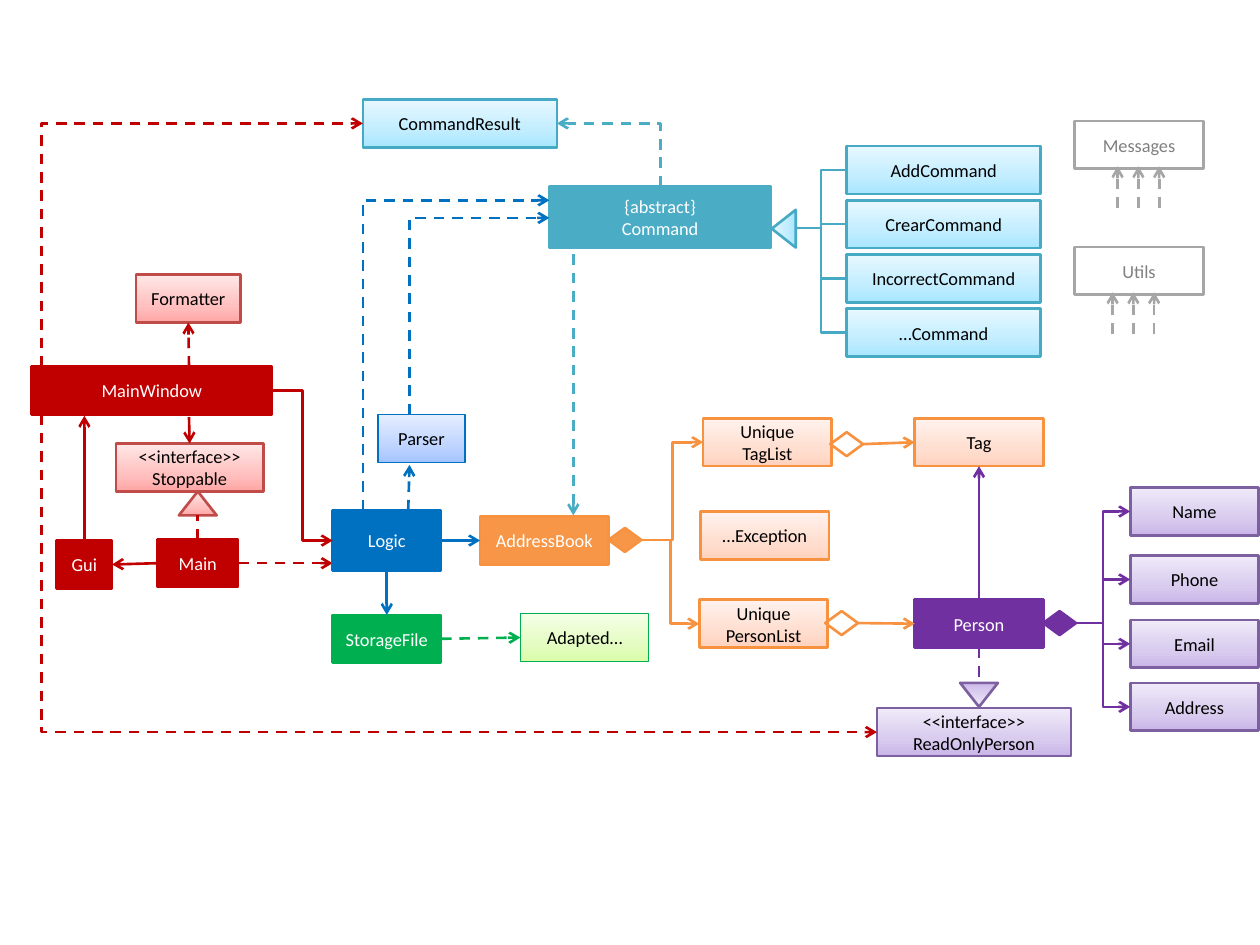
from copy import deepcopy

from lxml.etree import SubElement
from pptx import Presentation
from pptx.dml.color import RGBColor
from pptx.enum.dml import MSO_LINE
from pptx.enum.shapes import MSO_CONNECTOR, MSO_SHAPE
from pptx.enum.text import MSO_ANCHOR, PP_ALIGN
from pptx.oxml.ns import qn
from pptx.util import Inches, Pt

BLACK = RGBColor(0x00, 0x00, 0x00)
WHITE = RGBColor(0xFF, 0xFF, 0xFF)
GRAY = RGBColor(0xA6, 0xA6, 0xA6)
GRAY_TEXT = RGBColor(0x80, 0x80, 0x80)
RED = RGBColor(0xC0, 0x00, 0x00)
RED_EDGE = RGBColor(0xBF, 0x4C, 0x48)
BLUE = RGBColor(0x00, 0x70, 0xC0)
GREEN = RGBColor(0x00, 0xB0, 0x50)
ORANGE = RGBColor(0xF7, 0x96, 0x46)
ORANGE_EDGE = RGBColor(0xF6, 0x92, 0x40)
PURPLE = RGBColor(0x70, 0x30, 0xA0)
PURPLE_EDGE = RGBColor(0x7D, 0x60, 0xA0)
TEAL = RGBColor(0x4B, 0xAC, 0xC6)
TEAL_EDGE = RGBColor(0x46, 0xAA, 0xC5)

PALE_RED = (RGBColor(0xFF, 0xA6, 0xA5), RGBColor(0xFF, 0xC0, 0xBF), RGBColor(0xFF, 0xE7, 0xE7))
PALE_BLUE = (RGBColor(0xA4, 0xC4, 0xFF), RGBColor(0xBF, 0xD4, 0xFF), RGBColor(0xE6, 0xEE, 0xFF))
PALE_GREEN = (RGBColor(0xDA, 0xFD, 0xA7), RGBColor(0xE4, 0xFC, 0xC2), RGBColor(0xF5, 0xFF, 0xE7))
PALE_ORANGE = (RGBColor(0xFF, 0xD2, 0xBD), RGBColor(0xFF, 0xDE, 0xD0), RGBColor(0xFF, 0xF2, 0xED))
PALE_PURPLE = (RGBColor(0xC9, 0xB5, 0xE8), RGBColor(0xD8, 0xCB, 0xEE), RGBColor(0xF0, 0xEA, 0xF9))
PALE_TEAL = (RGBColor(0xA7, 0xE6, 0xFF), RGBColor(0xC1, 0xED, 0xFF), RGBColor(0xE7, 0xF8, 0xFF))

TOP, LEFT, BOTTOM, RIGHT = range(4)
BOX_WIDTH, BOX_HEIGHT = 1.02, 0.38
WIDE_BOX = 1.54


def write_text(shape, text, color=BLACK, size=10.5, font="Calibri"):
    frame = shape.text_frame
    frame.word_wrap = True
    frame.vertical_anchor = MSO_ANCHOR.MIDDLE
    frame.margin_left = frame.margin_right = frame.margin_top = frame.margin_bottom = 0
    frame.text = text
    for paragraph in frame.paragraphs:
        paragraph.alignment = PP_ALIGN.CENTER
        for run in paragraph.runs:
            run.font.name = font
            run.font.size = Pt(size)
            run.font.color.rgb = color


def paint(shape, fill):
    if fill is None:
        shape.fill.background()
    elif isinstance(fill, RGBColor):
        shape.fill.solid()
        shape.fill.fore_color.rgb = fill
    else:
        shape.fill.gradient()
        shape.fill.gradient_angle = 90
        stop_list = shape._element.spPr.find(".//" + qn("a:gsLst"))
        stop_list.insert(1, deepcopy(stop_list[0]))
        for stop, position, color in zip(shape.fill.gradient_stops, (0, 0.35, 1), fill):
            stop.position = position
            stop.color.rgb = color


def add_figure(slide, kind, left, top, width, height, fill, edge, line_width=1.5, rotation=0):
    shape = slide.shapes.add_shape(kind, Inches(left), Inches(top), Inches(width), Inches(height))
    shape.shadow.inherit = False
    shape.rotation = rotation
    paint(shape, fill)
    shape.line.color.rgb = edge
    shape.line.width = Pt(line_width)
    return shape


def add_box(slide, text, left, top, fill, edge, width=BOX_WIDTH, height=BOX_HEIGHT,
            color=BLACK, line_width=1.5):
    box = add_figure(slide, MSO_SHAPE.RECTANGLE, left, top, width, height, fill, edge, line_width)
    write_text(box, text, color=color)
    return box


def add_diamond(slide, left, top, fill=None, edge=ORANGE_EDGE):
    return add_figure(slide, MSO_SHAPE.FLOWCHART_DECISION, left, top, 0.26, 0.19, fill, edge)


def add_triangle(slide, left, top, fill, edge, rotation=0):
    return add_figure(slide, MSO_SHAPE.ISOSCELES_TRIANGLE, left, top, 0.3, 0.19, fill, edge,
                      rotation=rotation)


def add_link(slide, start, end, color, dashed=False, arrow=True, kind=MSO_CONNECTOR.STRAIGHT):
    start_joined, end_joined = (not isinstance(place[0], (int, float)) for place in (start, end))
    start_point = (0, 0) if start_joined else start
    end_point = (0, 0) if end_joined else end
    connector = slide.shapes.add_connector(
        kind, *(Inches(value) for value in (*start_point, *end_point)))
    if start_joined:
        connector.begin_connect(*start)
    if end_joined:
        connector.end_connect(*end)
    connector.line.color.rgb = color
    connector.line.width = Pt(1.5)
    if dashed:
        connector.line.dash_style = MSO_LINE.DASH
    if arrow:
        SubElement(connector.line._get_or_add_ln(), qn("a:tailEnd"), type="arrow")
    SubElement(connector._element.spPr, qn("a:effectLst"))
    return connector


def add_elbow(slide, start, end, color, **options):
    return add_link(slide, start, end, color, kind=MSO_CONNECTOR.ELBOW, **options)


def add_corner(slide, start, end, color):
    connector = add_elbow(slide, start, end, color, dashed=True)
    geometry = connector._element.spPr.find(qn("a:prstGeom"))
    SubElement(geometry.get_or_add_avLst(), qn("a:gd"), name="adj1", fmla="val 0")


def add_interface(slide):
    window = add_box(slide, "MainWindow", 0.25, 2.91, RED, RED, width=1.91, color=WHITE)
    gui = add_box(slide, "Gui", 0.45, 4.29, RED, RED, width=0.44, color=WHITE)
    main_box = add_box(slide, "Main", 1.25, 4.28, RED, RED, width=0.64, color=WHITE)
    formatter = add_box(slide, "Formatter", 1.08, 2.18, PALE_RED, RED_EDGE, width=0.83)
    stoppable = add_box(slide, "<<interface>>\nStoppable", 0.92, 3.52, PALE_RED, RED_EDGE, width=1.17)
    add_triangle(slide, 1.42, 3.9, PALE_RED, RED_EDGE)
    add_link(slide, (main_box, LEFT), (gui, RIGHT), RED)
    add_link(slide, (gui, TOP), (0.67, 3.3), RED)
    add_link(slide, (1.5, 2.91), (formatter, BOTTOM), RED, dashed=True)
    add_link(slide, (1.5, 3.31), (stoppable, TOP), RED)
    add_link(slide, (main_box, TOP), (1.57, 4.09), RED, dashed=True, arrow=False)
    add_link(slide, (main_box, RIGHT), (2.64, 4.47), RED, dashed=True)
    return window


def add_commands(slide):
    result = add_box(slide, "CommandResult", 2.88, 0.79, PALE_TEAL, TEAL_EDGE, width=WIDE_BOX)
    add_box(slide, "{abstract}\vCommand", 4.36, 1.48, TEAL, TEAL, width=1.76, height=0.49, color=WHITE)
    add_triangle(slide, 6.07, 1.72, PALE_TEAL, TEAL_EDGE, rotation=270)
    names = ("AddCommand", "CrearCommand", "IncorrectCommand", "…Command")
    for index, name in enumerate(names):
        box = add_box(slide, name, 6.72, 1.16 + 0.43 * index, PALE_TEAL, TEAL_EDGE, width=WIDE_BOX)
        add_elbow(slide, (6.31, 1.81), (box, LEFT), TEAL_EDGE, arrow=False)
    add_corner(slide, (5.24, 1.48), (result, RIGHT), TEAL)
    add_link(slide, (4.55, 2.02), (4.55, 4.09), TEAL, dashed=True)
    return result


def add_logic(slide):
    logic = add_box(slide, "Logic", 2.64, 4.05, BLUE, BLUE, width=0.86, height=0.48, color=WHITE)
    add_box(slide, "Parser", 3, 3.29, PALE_BLUE, BLUE, width=0.69, line_width=0.75)
    storage = add_box(slide, "StorageFile", 2.64, 4.88, GREEN, GREEN, width=0.86, color=WHITE)
    adapted = add_box(slide, "Adapted…", 4.13, 4.87, PALE_GREEN, GREEN, line_width=0.75)
    add_link(slide, (3.24, 4.05), (3.25, 3.69), BLUE, dashed=True)
    add_link(slide, (logic, BOTTOM), (storage, TOP), BLUE)
    add_link(slide, (storage, RIGHT), (adapted, LEFT), GREEN, dashed=True)
    add_corner(slide, (3.25, 3.29), (4.36, 1.73), BLUE)
    add_corner(slide, (2.88, 4.05), (4.36, 1.59), BLUE)
    return logic


def add_model(slide):
    book = add_box(slide, "AddressBook", 3.81, 4.1, ORANGE, ORANGE_EDGE, color=WHITE)
    tag_list = add_box(slide, "Unique\vTagList", 5.58, 3.32, PALE_ORANGE, ORANGE_EDGE)
    person_list = add_box(slide, "Unique\vPersonList", 5.55, 4.76, PALE_ORANGE, ORANGE_EDGE)
    add_box(slide, "…Exception", 5.56, 4.06, PALE_ORANGE, ORANGE_EDGE)
    tag = add_box(slide, "Tag", 7.26, 3.32, PALE_ORANGE, ORANGE_EDGE)
    person = add_box(slide, "Person", 7.26, 4.76, PURPLE, PURPLE, color=WHITE)
    book_diamond = add_diamond(slide, 4.83, 4.19, fill=ORANGE)
    for part in (tag_list, person_list):
        add_elbow(slide, (book_diamond, RIGHT), (part, LEFT), ORANGE_EDGE)
    for left, top, item in ((6.59, 3.43, tag), (6.55, 4.85, person)):
        add_link(slide, (add_diamond(slide, left, top), RIGHT), (item, LEFT), ORANGE_EDGE)
    add_link(slide, (person, TOP), (tag, BOTTOM), PURPLE)
    person_diamond = add_diamond(slide, 8.28, 4.85, fill=PURPLE, edge=PURPLE)
    for name, top in (("Name", 3.87), ("Phone", 4.41), ("Email", 4.92), ("Address", 5.42)):
        box = add_box(slide, name, 8.97, top, PALE_PURPLE, PURPLE_EDGE)
        add_elbow(slide, (person_diamond, RIGHT), (box, LEFT), PURPLE)
    read_only = add_box(slide, "<<interface>>\nReadOnlyPerson", 6.96, 5.62, PALE_PURPLE, PURPLE_EDGE,
                        width=WIDE_BOX)
    add_triangle(slide, 7.62, 5.42, PALE_PURPLE, PURPLE_EDGE, rotation=180)
    add_link(slide, (person, BOTTOM), (7.77, 5.42), PURPLE, dashed=True, arrow=False)
    return book, read_only


def add_shared(slide, name, top, first_arrow):
    add_box(slide, name, 8.53, top, WHITE, GRAY, color=GRAY_TEXT)
    for index in range(3):
        x = first_arrow + 0.165 * index
        add_link(slide, (x, top + 0.69), (x, top + 0.36), GRAY, dashed=True)


def main():
    presentation = Presentation()
    presentation.slide_width, presentation.slide_height = Inches(10), Inches(7.5)
    slide = presentation.slides.add_slide(presentation.slide_layouts[6])
    window = add_interface(slide)
    result = add_commands(slide)
    logic = add_logic(slide)
    book, read_only = add_model(slide)
    add_shared(slide, "Messages", 0.96, 8.87)
    add_shared(slide, "Utils", 1.96, 8.83)
    add_link(slide, (logic, RIGHT), (book, LEFT), BLUE)
    add_elbow(slide, (window, RIGHT), (logic, LEFT), RED)
    add_corner(slide, (0.33, 2.91), (result, LEFT), RED)
    add_corner(slide, (0.33, 3.29), (read_only, LEFT), RED)
    presentation.save("out.pptx")


if __name__ == "__main__":
    main()
